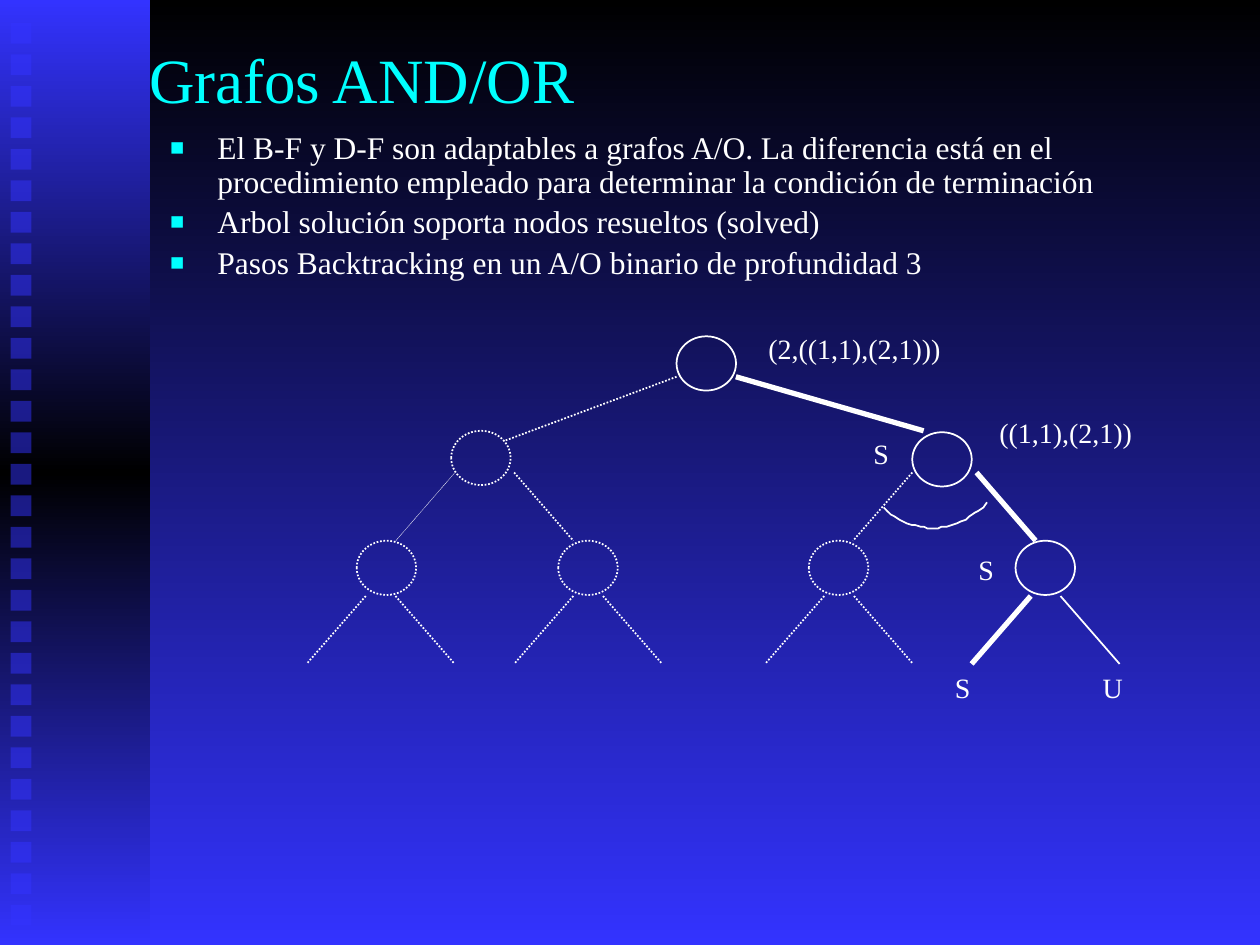
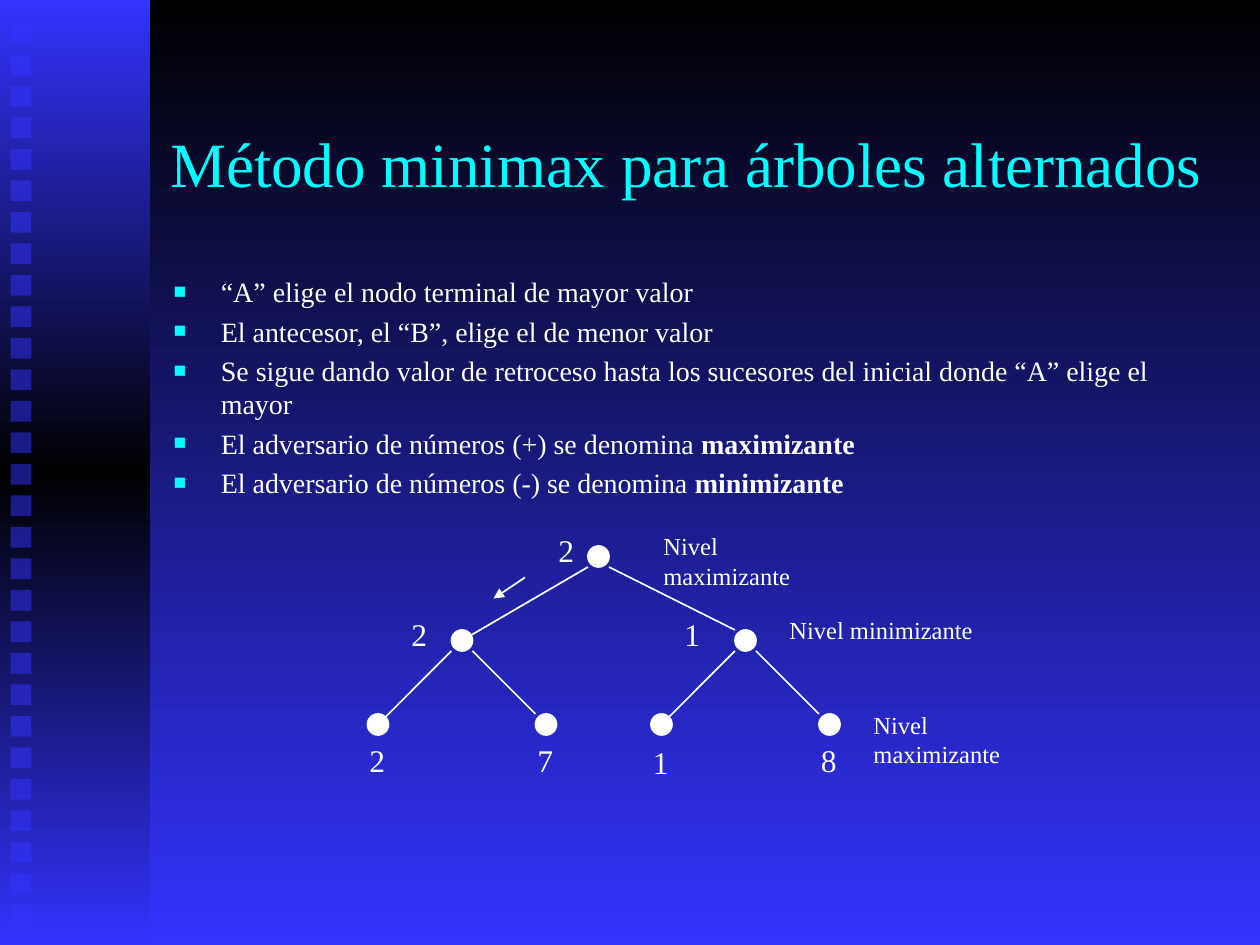
from dataclasses import dataclass

from lxml import etree
from pptx import Presentation
from pptx.dml.color import RGBColor
from pptx.enum import dml, shapes, text
from pptx.oxml import ns
from pptx.util import Pt


@dataclass(frozen=True)
class Theme:
    """Colours, font and type sizes shared by the slides."""
    black: RGBColor = RGBColor(0, 0, 0)
    blue: RGBColor = RGBColor(0x33, 0x33, 0xFF)
    cyan: RGBColor = RGBColor(0, 0xFF, 0xFF)
    white: RGBColor = RGBColor(0xFF, 0xFF, 0xFF)
    font: str = "Times New Roman"
    title: int = 36
    large: int = 18
    medium: int = 16
    small: int = 14


THEME = Theme()
NODE_WIDTH, NODE_HEIGHT = 34, 31
DOT = 12


def points(*values):
    """Convert numbers to lengths in points."""
    return [Pt(value) for value in values]


def add_child(parent, tag, **attributes):
    """Append a drawing element with its attributes."""
    return etree.SubElement(parent, ns.qn(tag), attributes)


def paint_gradient(fill, *colors):
    """Fill from top to bottom with evenly spaced colours."""
    fill.gradient()
    fill.gradient_angle = 270
    first, last = fill.gradient_stops
    first.position, last.position = 0, 1
    first.color.rgb, last.color.rgb = colors[0], colors[-1]
    stops = fill._fill._gradFill.gsLst
    for index, color in enumerate(colors[1:-1], 1):
        stop = etree.Element(ns.qn("a:gs"), pos=str(100000 * index // (len(colors) - 1)))
        add_child(stop, "a:srgbClr", val=str(color))
        stops.insert(index, stop)


def add_shape(page, kind, left, top, width, height):
    """Add a preset shape without shadow, fill or line."""
    shape = page.shapes.add_shape(kind, *points(left, top, width, height))
    shape.shadow.inherit = False
    shape.fill.background()
    shape.line.fill.background()
    return shape


def format_line(line, width=1, dotted=False):
    """Draw a white line, solid or dotted."""
    line.color.rgb = THEME.white
    line.width = Pt(width)
    if dotted:
        line.dash_style = dml.MSO_LINE.ROUND_DOT


def add_circle(page, left, top, width, height, filled=False, dotted=False):
    """Add a tree node, hollow or filled."""
    circle = add_shape(page, shapes.MSO_SHAPE.OVAL, left, top, width, height)
    if filled:
        circle.fill.solid()
        circle.fill.fore_color.rgb = THEME.white
    format_line(circle.line, dotted=dotted)


def add_edge(page, start, end, width=1, dotted=False, arrow=False):
    """Connect two points with a straight line."""
    edge = page.shapes.add_connector(shapes.MSO_CONNECTOR.STRAIGHT, *points(*start, *end))
    format_line(edge.line, width, dotted)
    properties = edge.element.spPr
    if arrow:
        add_child(properties.find(ns.qn("a:ln")), "a:tailEnd", type="triangle")
    add_child(properties, "a:effectLst")


def curve_points(start, control1, control2, end, steps=12):
    """Sample a cubic curve, leaving out its start."""
    for step in range(1, steps + 1):
        t = step / steps
        weights = ((1 - t) ** 3, 3 * t * (1 - t) ** 2, 3 * t * t * (1 - t), t ** 3)
        corners = (start, control1, control2, end)
        yield tuple(sum(w * corner[axis] for w, corner in zip(weights, corners))
                    for axis in (0, 1))


def add_curve(page, *segments):
    """Draw connected cubic curves as an open outline."""
    builder = page.shapes.build_freeform(*segments[0][0], scale=Pt(1))
    builder.add_line_segments([p for segment in segments for p in curve_points(*segment)],
                              close=False)
    curve = builder.convert_to_shape()
    curve.shadow.inherit = False
    curve.fill.background()
    format_line(curve.line)


def write_span(para, content, size, color=THEME.white, bold=None):
    """Add formatted text to a paragraph."""
    span = para.add_run()
    span.text = content
    span.font.name, span.font.size, span.font.bold = THEME.font, Pt(size), bold
    span.font.color.rgb = color


def add_label(page, content, left, top, width, height, size):
    """Add a one-line label."""
    box = page.shapes.add_textbox(*points(left, top, width, height))
    box.text_frame.word_wrap = False
    box.text_frame.auto_size = text.MSO_AUTO_SIZE.SHAPE_TO_FIT_TEXT
    write_span(box.text_frame.paragraphs[0], content, size)


def place(box, bounds, anchor):
    """Move a placeholder and anchor its text."""
    box.left, box.top, box.width, box.height = points(*bounds)
    frame = box.text_frame
    frame.auto_size = text.MSO_AUTO_SIZE.NONE
    frame.vertical_anchor = anchor
    return frame


def set_title(page, content, left, top):
    """Write the slide title."""
    frame = place(page.shapes.title, (left, top, 612, 90), text.MSO_ANCHOR.MIDDLE)
    para = frame.paragraphs[0]
    para.alignment = text.PP_ALIGN.LEFT
    write_span(para, content, THEME.title, THEME.cyan)


def set_bullets(page, items, bounds, size, spacing=1.0):
    """Write the bulleted list; each item is a plain and a bold part."""
    frame = place(page.placeholders[1], bounds, text.MSO_ANCHOR.TOP)
    for index, (plain, strong) in enumerate(items):
        para = frame.add_paragraph() if index else frame.paragraphs[0]
        properties = para._p.get_or_add_pPr()
        properties.set("marL", str(Pt(27)))
        properties.set("indent", str(Pt(-27)))
        color = add_child(properties, "a:buClr")
        add_child(color, "a:srgbClr", val=str(THEME.cyan))
        add_child(properties, "a:buSzPct", val="75000")
        add_child(properties, "a:buFont", typeface=THEME.font)
        add_child(properties, "a:buChar", char="■")
        para.line_spacing = spacing
        para.space_before = Pt(0.2 * size if index else 0)
        write_span(para, plain, size)
        if strong:
            write_span(para, strong, size, bold=True)


def decorate_master(deck, page):
    """Give the master its background, side band and column of squares."""
    master = deck.slide_master
    paint_gradient(master.background.fill, THEME.black, THEME.blue)
    band = add_shape(page, shapes.MSO_SHAPE.RECTANGLE, 0, 0, 85.7, 540)
    paint_gradient(band.fill, THEME.blue, THEME.black, THEME.blue)
    parts = [band]
    for row in range(29):
        square = add_shape(page, shapes.MSO_SHAPE.RECTANGLE, 6, 13 + 18 * row, 12, 12)
        square.fill.solid()
        square.fill.fore_color.rgb = THEME.blue
        add_child(next(square.element.spPr.iter(ns.qn("a:srgbClr"))), "a:alpha", val="50000")
        parts.append(square)
    for index, part in enumerate(parts):
        part.element.nvSpPr.cNvPr.set("id", str(100 + index))
        master.shapes.element.insert(2 + index, part.element)


def draw_and_or_tree(page):
    """Draw the binary tree of depth three with its solved path."""
    nodes = [(386.6, 192.2, False), (257.8, 246.2, True), (521.3, 247, False),
             (203.8, 309, True), (319, 309, True), (462.2, 309, True), (580.3, 309, False)]
    for left, top, dotted in nodes:
        add_circle(page, left, top, NODE_WIDTH, NODE_HEIGHT, dotted=dotted)

    add_edge(page, (386.6, 215.3), (288, 252), dotted=True)
    add_edge(page, (420.5, 215.3), (527.8, 246.2), width=3)
    run = 33.8
    for x, direction, width, dotted in [(260, -1, 0.25, True), (293.8, 1, 1, True),
                                        (521.3, -1, 1, True), (558, 1, 3, False)]:
        add_edge(page, (x, 270), (x + direction * run, 309), width, dotted)
    for x, left_width, dotted in [(209, 1, True), (327.6, 1, True),
                                  (471, 1, True), (589, 3, False)]:
        add_edge(page, (x, 340.6), (x - run, 379.4), left_width, dotted)
        add_edge(page, (x + 17, 340.6), (x + 17 + run, 379.4), dotted=dotted)

    bottom = (532.8, 301.7)
    add_curve(page, ((504.7, 290.2), (513.4, 298.1), (523.4, 301.7), bottom),
              (bottom, (544.3, 301.7), (555.1, 296.6), (563.8, 287.3)))

    for content, left, top, width in [
            ("S", 538.5, 379.5, 24), ("U", 623, 379.5, 26), ("((1,1),(2,1))", 564, 234, 91),
            ("S", 552, 312, 24), ("(2,((1,1),(2,1)))", 432, 186, 114), ("S", 492, 246, 24)]:
        add_label(page, content, left, top, width, 26.6, THEME.medium)


def draw_minimax_tree(page):
    """Draw the valued tree with its level names."""
    for content, left, top in [("Nivel maximizante", 372, 300),
                               ("Nivel minimizante", 444, 348),
                               ("Nivel maximizante", 492, 402)]:
        add_label(page, content, left, top, 121, 24, THEME.small)

    nodes = [("2", 336, 312, -24, -12), ("2", 258, 360, -30, -12), ("1", 420, 360, -36, -12),
             ("2", 210, 408, -6, 12), ("7", 306, 408, -6, 12),
             ("1", 372, 408, -6, 13), ("8", 468, 408, -6, 12)]
    for value, left, top, shift_x, shift_y in nodes:
        add_circle(page, left, top, DOT, DOT, filled=True)
        add_label(page, value, left + shift_x, top + shift_y, 24, 29, THEME.large)
    for index, (_, left, top, *_) in enumerate(nodes[:3]):
        _, x, y, *_ = nodes[2 * index + 1]
        add_edge(page, (left, top + DOT), (x + DOT / 2, y + DOT / 2))
        _, x, y, *_ = nodes[2 * index + 2]
        add_edge(page, (left + DOT, top + DOT), (x, y))
    add_edge(page, (300, 330), (282, 342), arrow=True)


def main():
    """Build the two slides and save them."""
    deck = Presentation()
    deck.slide_width, deck.slide_height = points(720, 540)
    layout = deck.slide_layouts[1]

    page = deck.slides.add_slide(layout)
    decorate_master(deck, page)
    set_title(page, "Grafos AND/OR", 78, 0)
    set_bullets(page, [
        ("El B-F y D-F son adaptables a grafos A/O. La diferencia está en el "
         "procedimiento empleado para determinar la condición de terminación", ""),
        ("Arbol solución soporta nodos resueltos (solved)", ""),
        ("Pasos Backtracking en un A/O binario de profundidad 3", ""),
    ], (90, 72, 612, 102), THEME.large, spacing=0.9)
    draw_and_or_tree(page)

    page = deck.slides.add_slide(layout)
    set_title(page, "Método minimax para árboles alternados", 90, 48)
    set_bullets(page, [
        ("“A” elige el nodo terminal de mayor valor", ""),
        ("El antecesor, el “B”, elige el de menor valor", ""),
        ("Se sigue dando valor de retroceso hasta los sucesores del inicial donde "
         "“A” elige el mayor", ""),
        ("El adversario de números (+) se denomina ", "maximizante"),
        ("El adversario de números (-) se denomina ", "minimizante"),
    ], (92, 153.5, 612, 147), THEME.medium)
    draw_minimax_tree(page)

    deck.save("out.pptx")


if __name__ == "__main__":
    main()
